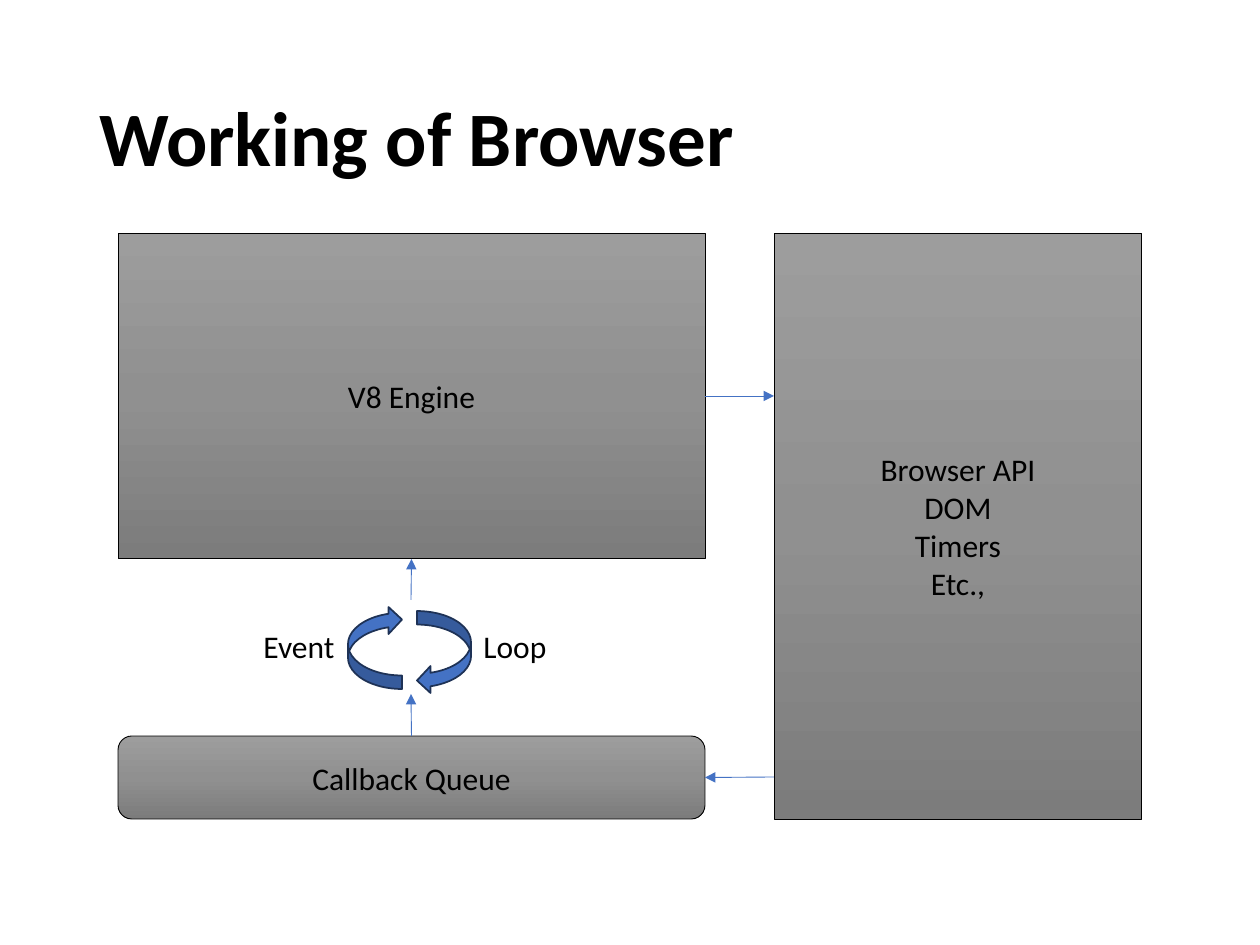
from copy import deepcopy
from dataclasses import dataclass

from pptx import Presentation
from pptx.dml.color import RGBColor
from pptx.enum.shapes import MSO_CONNECTOR as Connector
from pptx.enum.shapes import MSO_SHAPE as Shape
from pptx.enum.text import MSO_ANCHOR as Anchor
from pptx.enum.text import PP_ALIGN as Align
from pptx.oxml.ns import qn
from pptx.oxml.xmlchemy import OxmlElement
from pptx.util import Emu, Pt

EMU_PER_PX = 914400 / 126


def px(length):
    return Emu(round(length * EMU_PER_PX))


@dataclass(frozen=True)
class Theme:
    font: str = "Calibri"
    title_size: int = 44
    body_size: int = 18
    text: str = "000000"
    box_line: str = "000000"
    box_stops: tuple = ((0, "9D9D9D"), (0.5, "909090"), (1, "7C7C7C"))
    accent: str = "4472C4"
    accent_line: str = "1E3256"
    thin: float = 0.5
    medium: float = 1


class Diagram:
    """Draws styled elements on the current slide."""

    def __init__(self, slide, theme):
        self.slide = slide
        self.theme = theme

    def add_lines(self, shape, lines, size, align, bold=False):
        frame = shape.text_frame
        frame.vertical_anchor = Anchor.MIDDLE
        for index, line in enumerate(lines):
            paragraph = frame.paragraphs[0] if index == 0 else frame.add_paragraph()
            paragraph.alignment = align
            run = paragraph.add_run()
            run.text = line
            run.font.name = self.theme.font
            run.font.size = Pt(size)
            run.font.bold = bold
            run.font.color.rgb = RGBColor.from_string(self.theme.text)

    def text(self, bounds, line, size, bold=False):
        box = self.slide.shapes.add_textbox(*map(px, bounds))
        box.text_frame.word_wrap = True
        self.add_lines(box, [line], size, Align.LEFT, bold)
        return box

    def preset(self, kind, bounds, line_color, line_width):
        shape = self.slide.shapes.add_shape(kind, *map(px, bounds))
        shape.shadow.inherit = False
        shape.line.color.rgb = RGBColor.from_string(line_color)
        shape.line.width = Pt(line_width)
        return shape

    def box(self, kind, bounds, lines):
        """Adds a box with a top-to-bottom gradient and centred text."""
        theme = self.theme
        shape = self.preset(kind, bounds, theme.box_line, theme.thin)
        fill = shape.fill
        fill.gradient()
        fill.gradient_angle = 270
        first = shape._element.spPr.find(".//" + qn("a:gs"))
        first.addnext(deepcopy(first))
        for stop, (position, color) in zip(fill.gradient_stops, theme.box_stops):
            stop.position = position
            stop.color.rgb = RGBColor.from_string(color)
        self.add_lines(shape, lines, theme.body_size, Align.CENTER)
        return shape

    def curved_arrow(self, kind, bounds, flip=False):
        """Adds a curved arrow turned by half a circle."""
        theme = self.theme
        shape = self.preset(kind, bounds, theme.accent_line, theme.medium)
        shape.fill.solid()
        shape.fill.fore_color.rgb = RGBColor.from_string(theme.accent)
        shape.rotation = 180
        if flip:
            shape._element.spPr.find(qn("a:xfrm")).set("flipV", "1")

    def arrow(self, start, end, source=None, target=None):
        """Adds an arrow; source and target are (shape, side) pairs to join."""
        connector = self.slide.shapes.add_connector(
            Connector.STRAIGHT, *map(px, (*start, *end)))
        connector.line.color.rgb = RGBColor.from_string(self.theme.accent)
        connector.line.width = Pt(self.theme.thin)
        head = OxmlElement("a:tailEnd")
        head.set("type", "triangle")
        connector._element.spPr.find(qn("a:ln")).append(head)
        connector._element.spPr.append(OxmlElement("a:effectLst"))
        if source:
            connector.begin_connect(*source)
        if target:
            connector.end_connect(*target)


def main():
    presentation = Presentation()
    presentation.slide_width, presentation.slide_height = px(1260), px(945)
    slide = presentation.slides.add_slide(presentation.slide_layouts[6])
    theme = Theme()
    diagram = Diagram(slide, theme)

    left, top, width, bottom = 118, 233, 587, 819
    engine_height, queue_height = 326, 83
    right, api_left = left + width, 774
    queue_top = bottom - queue_height
    engine_bottom = top + engine_height
    center_x = left + width // 2
    engine_y = top + engine_height // 2
    queue_y = queue_top + queue_height // 2

    title = diagram.text((87, 50, 1086, 183), "Working of Browser",
                         theme.title_size, bold=True)
    title.text_frame.paragraphs[0].line_spacing = 0.9

    engine = diagram.box(Shape.RECTANGLE, (left, top, width, engine_height),
                         ["V8 Engine"])
    diagram.box(Shape.RECTANGLE, (api_left, top, 368, bottom - top),
                ["Browser API", "DOM", "Timers", "Etc.,"])
    queue = diagram.box(Shape.ROUNDED_RECTANGLE,
                        (left, queue_top, width, queue_height), ["Callback Queue"])

    diagram.curved_arrow(Shape.CURVED_RIGHT_ARROW, (417, 611, 54, 83), flip=True)
    diagram.curved_arrow(Shape.CURVED_LEFT_ARROW, (348, 606, 54, 83))
    for word, word_left in (("Event", 251), ("Loop", 471)):
        diagram.text((word_left, 621, 100, 50), word, theme.body_size)

    diagram.arrow((right, engine_y), (api_left, engine_y), source=(engine, 3))
    diagram.arrow((api_left, queue_y), (right, queue_y), target=(queue, 3))
    diagram.arrow((center_x, queue_top), (center_x, 694), source=(queue, 0))
    diagram.arrow((center_x, 600), (center_x, engine_bottom), target=(engine, 2))

    presentation.save("out.pptx")


if __name__ == "__main__":
    main()
